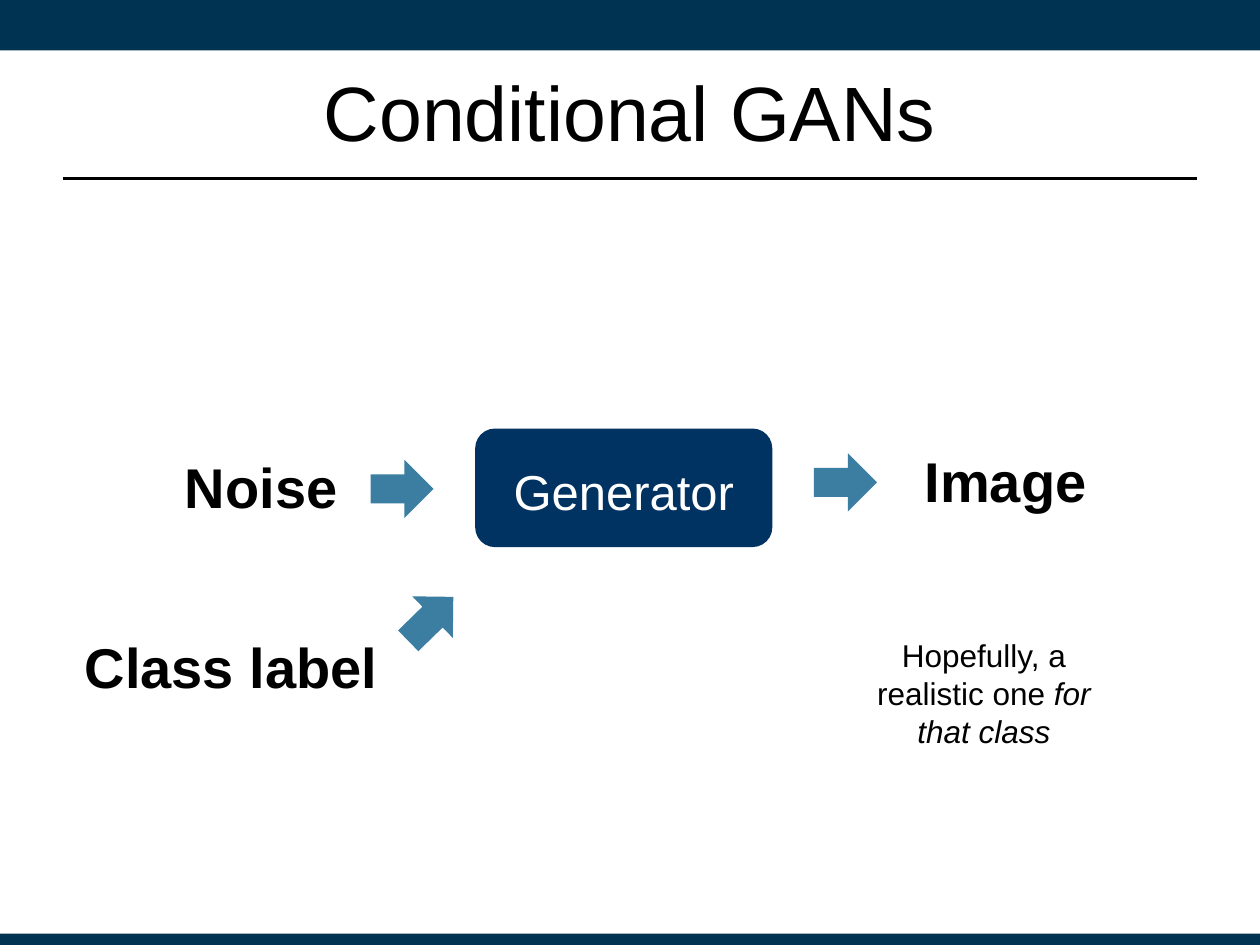
from lxml import etree
from pptx import Presentation
from pptx.dml.color import RGBColor
from pptx.enum.shapes import MSO_CONNECTOR, MSO_SHAPE
from pptx.enum.text import MSO_ANCHOR, PP_ALIGN
from pptx.oxml.ns import qn
from pptx.util import Cm, Pt

RECT = MSO_SHAPE.RECTANGLE
ROUNDED = MSO_SHAPE.ROUNDED_RECTANGLE
ARROW = MSO_SHAPE.RIGHT_ARROW
STRAIGHT = MSO_CONNECTOR.STRAIGHT
LEFT, CENTER = PP_ALIGN.LEFT, PP_ALIGN.CENTER
TOP, MIDDLE = MSO_ANCHOR.TOP, MSO_ANCHOR.MIDDLE

FONT = "Arial"
COLORS = {
    "band": "003252",
    "generator": "003262",
    "arrow": "3B7EA1",
    "black": "000000",
    "white": "FFFFFF",
}
PAGE_WIDTH, PAGE_HEIGHT = 25.4, 19.05
ARROW_SIZE = (1.27, 1.17)


def rgb(name):
    return RGBColor.from_string(COLORS[name])


def write(box, spans, size, color="black", bold=False, align=CENTER,
          anchor=MIDDLE, wrap=True, inset=0.13):
    """Fill a box with one paragraph of (text, italic) spans."""
    frame = box.text_frame
    frame.word_wrap = wrap
    frame.vertical_anchor = anchor
    frame.margin_top = Cm(inset)
    para = frame.paragraphs[0]
    para.alignment = align
    for text, italic in spans:
        span = para.add_run()
        span.text = text
        span.font.name = FONT
        span.font.size = Pt(size)
        span.font.bold = bold
        span.font.italic = italic
        span.font.color.rgb = rgb(color)


def add_block(page, kind, left, top, width, height, color):
    block = page.shapes.add_shape(kind, Cm(left), Cm(top), Cm(width), Cm(height))
    block.shadow.inherit = False
    block.fill.solid()
    block.fill.fore_color.rgb = rgb(color)
    block.line.fill.background()
    return block


def add_text(page, text, left, top, width, height, size, **style):
    box = page.shapes.add_textbox(Cm(left), Cm(top), Cm(width), Cm(height))
    write(box, [(text, False)], size, **style)


def add_label(page, text, left, top, width, height, align=LEFT):
    add_text(page, text, left, top, width, height, 32,
             bold=True, align=align, anchor=TOP, inset=0.23)


def add_arrow(page, left, top, rotation=0):
    arrow = add_block(page, ARROW, left, top, *ARROW_SIZE, "arrow")
    arrow.rotation = rotation


def add_rule(page, left, right, y):
    rule = page.shapes.add_connector(STRAIGHT, Cm(left), Cm(y), Cm(right), Cm(y))
    rule.line.color.rgb = rgb("black")
    rule.line.width = Pt(1.25)
    etree.SubElement(rule._element.spPr, qn("a:effectLst"))


def add_frame(page):
    """Draw the bands, the title and the rule beneath it."""
    add_block(page, RECT, 0, 0, PAGE_WIDTH, 1.02, "band")
    add_block(page, RECT, 0, 18.82, PAGE_WIDTH, 0.23, "band")
    add_rule(page, 1.27, PAGE_WIDTH - 1.27, 3.6)
    add_text(page, "Conditional GANs", 1.27, 0.64, 22.86, 3.18, 44)


def add_diagram(page):
    generator = add_block(page, ROUNDED, 9.58, 8.64, 5.99, 2.39, "generator")
    write(generator, [("Generator", False)], 28, color="white", wrap=False, inset=0.23)

    add_label(page, "Noise", 3.48, 8.89, 3.99, 1.9)
    add_arrow(page, 7.47, 9.27)
    add_label(page, "Image", 18.39, 8.78, 4.17, 1.9)
    add_arrow(page, 16.41, 9.14)

    result = add_block(page, RECT, 17.04, 12.65, 5.59, 2.62, "white")
    write(result, [("Hopefully, a realistic one ", False), ("for that class", True)], 18)

    add_arrow(page, 8.05, 11.89, rotation=315.7)
    add_label(page, "Class label", 1.04, 12.52, 7.24, 1.73, align=CENTER)


def main():
    deck = Presentation()
    deck.slide_width, deck.slide_height = Cm(PAGE_WIDTH), Cm(PAGE_HEIGHT)
    page = deck.slides.add_slide(deck.slide_layouts[6])
    add_frame(page)
    add_diagram(page)
    deck.save("out.pptx")


if __name__ == "__main__":
    main()
